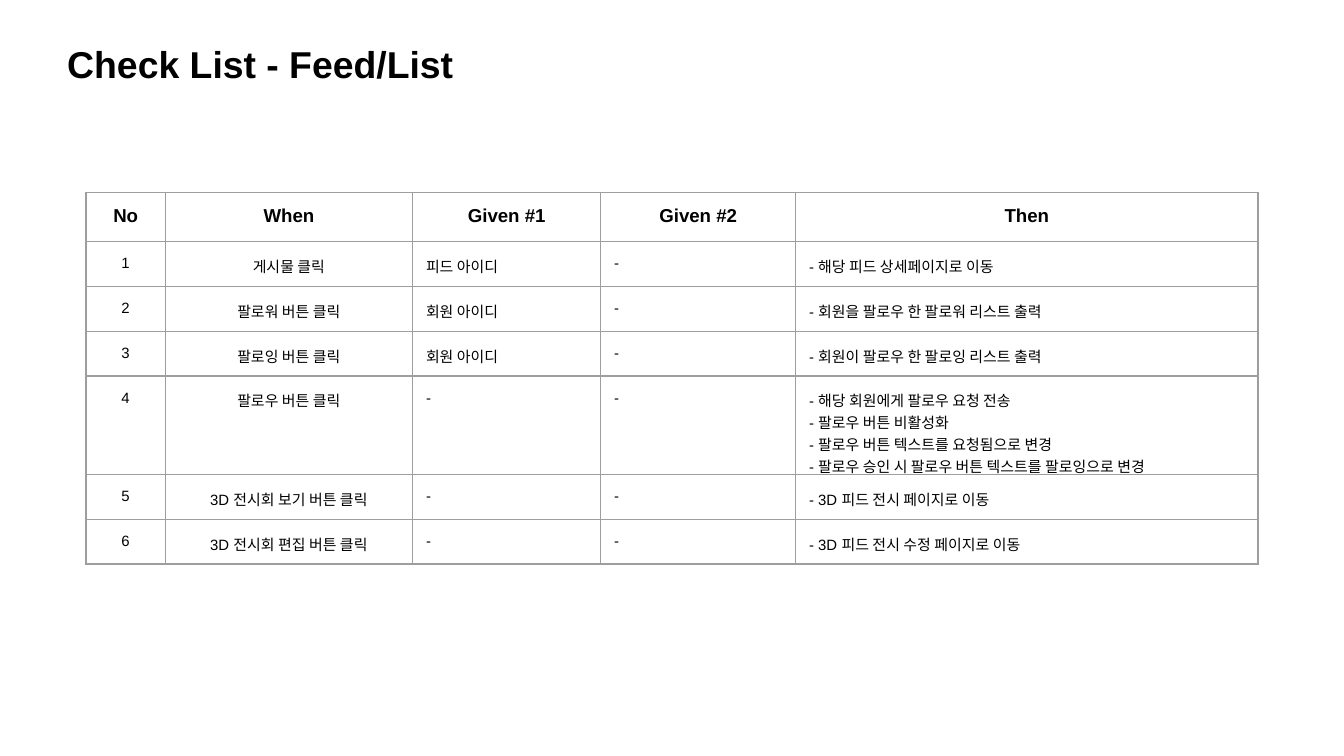
from lxml.etree import SubElement
from pptx import Presentation
from pptx.dml.color import RGBColor
from pptx.enum.text import MSO_ANCHOR, MSO_AUTO_SIZE, PP_ALIGN
from pptx.oxml.ns import qn
from pptx.util import Inches, Pt

COLORS = {"text": "000000", "border": "9E9E9E"}
FONT = "Arial"
INSET = Inches(0.1)

COLUMN_WIDTHS = [0.59, 1.84, 1.4, 1.45, 3.44]
ROW_HEIGHT = 0.31
CENTERED_COLUMNS = 2
HEADERS = ["No", "When", "Given #1", "Given #2", "Then"]
# Each check: when, given #1, given #2, then (one paragraph per line)
CHECKS = [
    ("게시물 클릭", "피드 아이디", "-", "- 해당 피드 상세페이지로 이동"),
    ("팔로워 버튼 클릭", "회원 아이디", "-", "- 회원을 팔로우 한 팔로워 리스트 출력"),
    ("팔로잉 버튼 클릭", "회원 아이디", "-", "- 회원이 팔로우 한 팔로잉 리스트 출력"),
    ("팔로우 버튼 클릭", "-", "-",
     "- 해당 회원에게 팔로우 요청 전송\n"
     "- 팔로우 버튼 비활성화\n"
     "- 팔로우 버튼 텍스트를 요청됨으로 변경\n"
     "- 팔로우 승인 시 팔로우 버튼 텍스트를 팔로잉으로 변경"),
    ("3D 전시회 보기 버튼 클릭", "-", "-", "- 3D 피드 전시 페이지로 이동"),
    ("3D 전시회 편집 버튼 클릭", "-", "-", "- 3D 피드 전시 수정 페이지로 이동"),
]


def write_text(text_frame, text, size=8, bold=False, align=PP_ALIGN.LEFT):
    """Fill a text frame, one paragraph per line of text."""
    for index, line in enumerate(text.split("\n")):
        paragraph = text_frame.add_paragraph() if index else text_frame.paragraphs[0]
        paragraph.alignment = align
        run = paragraph.add_run()
        run.text = line
        run.font.size = Pt(size)
        run.font.bold = bold
        run.font.color.rgb = RGBColor.from_string(COLORS["text"])
        run.font.name = FONT


def set_insets(box):
    box.margin_left = box.margin_right = box.margin_top = box.margin_bottom = INSET
    box.vertical_anchor = MSO_ANCHOR.TOP


class SlideBuilder:
    def __init__(self, slide):
        self.slide = slide

    def add_title(self, text, left, top, width, height):
        title = self.slide.shapes.title
        title.left, title.top = Inches(left), Inches(top)
        title.width, title.height = Inches(width), Inches(height)
        text_frame = title.text_frame
        set_insets(text_frame)
        text_frame.word_wrap = True
        text_frame.auto_size = MSO_AUTO_SIZE.SHAPE_TO_FIT_TEXT
        write_text(text_frame, text, size=20, bold=True)

    def add_border(self, cell):
        properties = cell._tc.get_or_add_tcPr()
        for side in ("lnL", "lnR", "lnT", "lnB"):
            line = SubElement(properties, qn(f"a:{side}"), w=str(Pt(0.75)))
            fill = SubElement(line, qn("a:solidFill"))
            SubElement(fill, qn("a:srgbClr"), val=COLORS["border"])

    def add_table(self, rows, left, top):
        table = self.slide.shapes.add_table(
            len(rows), len(COLUMN_WIDTHS), Inches(left), Inches(top),
            Inches(sum(COLUMN_WIDTHS)), Inches(ROW_HEIGHT * len(rows))).table
        table.first_row = table.horz_banding = False
        for column, width in zip(table.columns, COLUMN_WIDTHS):
            column.width = Inches(width)
        for row_index, row in enumerate(rows):
            table.rows[row_index].height = Inches(ROW_HEIGHT)
            header = row_index == 0
            for column_index, text in enumerate(row):
                cell = table.cell(row_index, column_index)
                set_insets(cell)
                self.add_border(cell)
                cell.fill.background()
                centered = header or column_index < CENTERED_COLUMNS
                write_text(cell.text_frame, text, size=10 if header else 8, bold=header,
                           align=PP_ALIGN.CENTER if centered else PP_ALIGN.LEFT)


def main():
    presentation = Presentation()
    # Widescreen, 16:9
    presentation.slide_width = Inches(10)
    presentation.slide_height = Inches(10) * 9 // 16
    title_only = presentation.slide_layouts[5]
    builder = SlideBuilder(presentation.slides.add_slide(title_only))

    # Title
    builder.add_title("Check List - Feed/List", 0.4, 0.21, 5.94, 0.54)

    # Numbered check list
    numbered = [(str(number), *check) for number, check in enumerate(CHECKS, start=1)]
    builder.add_table([HEADERS, *numbered], 0.64, 1.43)

    presentation.save("out.pptx")


if __name__ == "__main__":
    main()
